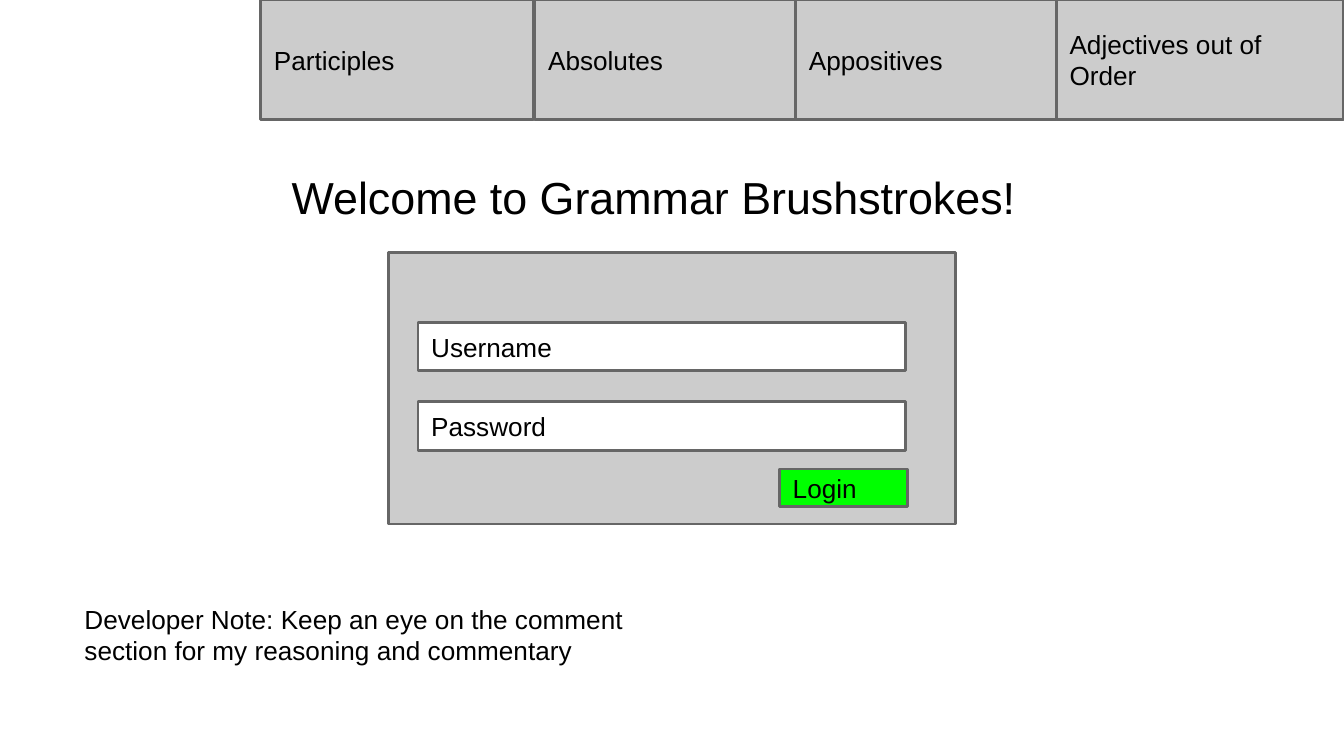
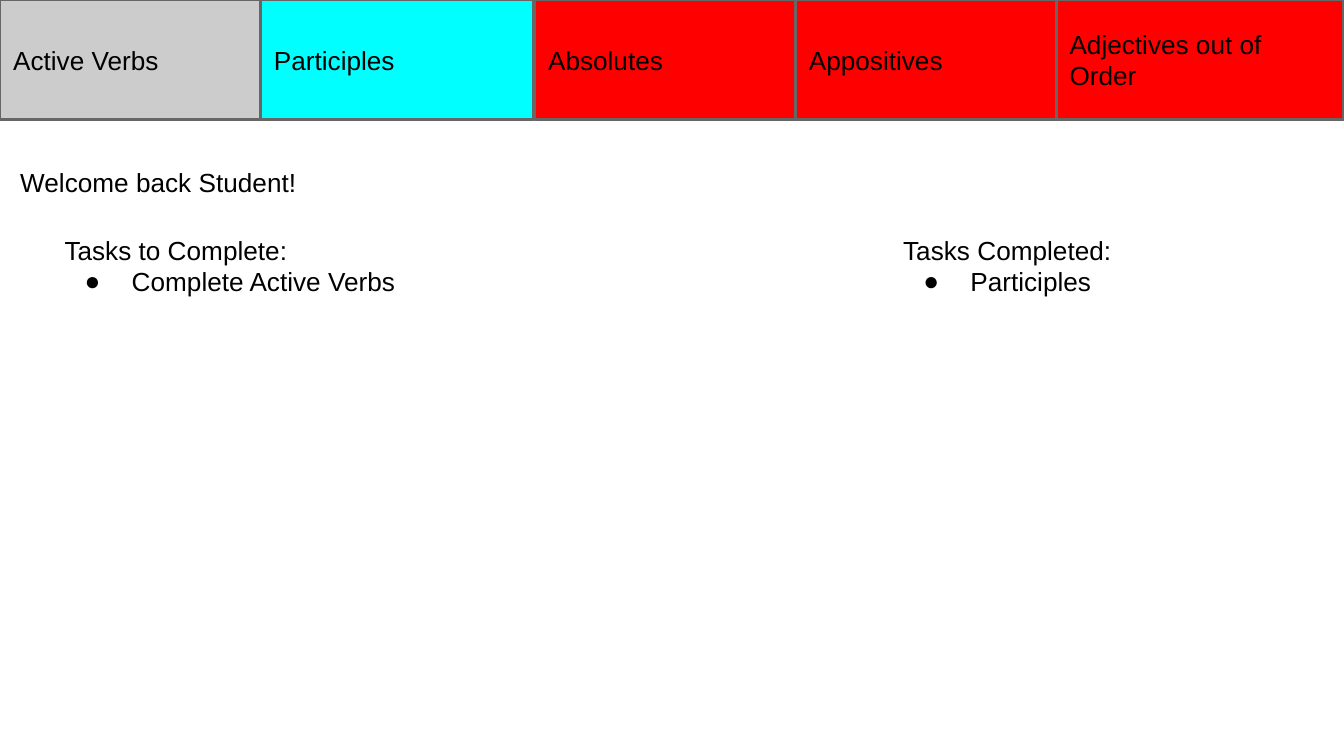
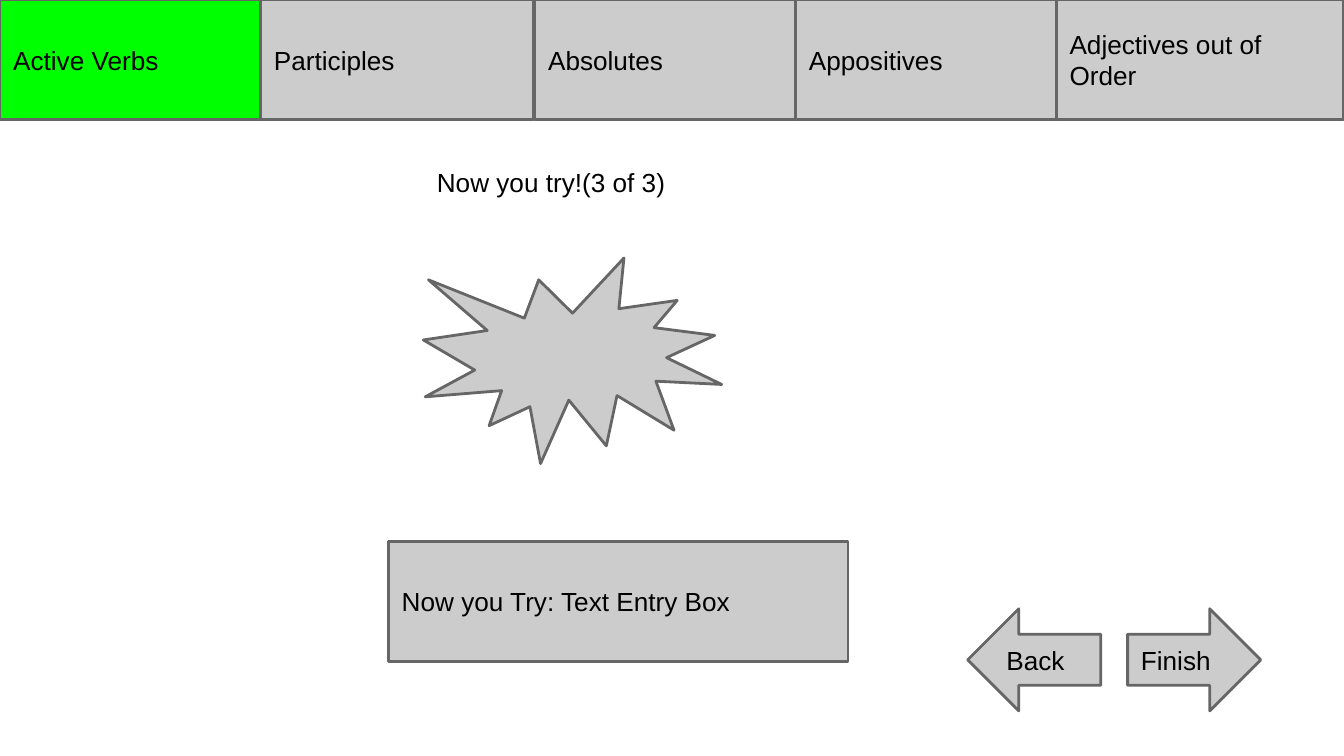
from lxml import etree
from pptx import Presentation
from pptx.dml.color import RGBColor
from pptx.enum import shapes, text
from pptx.oxml import ns
from pptx.util import Inches, Pt

FONT = "Arial"
BLACK, WHITE, GRAY, BORDER = "000000", "FFFFFF", "CCCCCC", "666666"
GREEN, CYAN, RED = "00FF00", "00FFFF", "FF0000"
INSET = 0.1
TAB_HEIGHT = 0.89
TABS = {
    "Active Verbs": (0, 1.94),
    "Participles": (1.94, 2.03),
    "Absolutes": (3.98, 1.94),
    "Appositives": (5.92, 1.94),
    "Adjectives out of Order": (7.86, 2.14),
}
TITLE_ONLY, TWO_CONTENT = 5, 3
SHAPE = shapes.MSO_SHAPE


def color(hex_value):
    return RGBColor.from_string(hex_value)


def write(shape, lines, size=14, anchor=text.MSO_ANCHOR.TOP):
    """Fill a shape with left-aligned black lines."""
    frame = shape.text_frame
    frame.text = "\n".join(lines)
    frame.word_wrap = True
    frame.auto_size = text.MSO_AUTO_SIZE.NONE
    frame.vertical_anchor = anchor
    frame.margin_left = frame.margin_right = Inches(INSET)
    frame.margin_top = frame.margin_bottom = Inches(INSET)
    for paragraph in frame.paragraphs:
        paragraph.alignment = text.PP_ALIGN.LEFT
        paragraph.space_before = Pt(0)
        for run in paragraph.runs:
            run.font.name = FONT
            run.font.size = Pt(size)
            run.font.color.rgb = color(BLACK)


def place(shape, box):
    shape.left, shape.top, shape.width, shape.height = map(Inches, box)


def add_block(slide, box, label="", fill=GRAY, kind=SHAPE.RECTANGLE):
    shape = slide.shapes.add_shape(kind, *map(Inches, box))
    shape.shadow.inherit = False
    shape.fill.solid()
    shape.fill.fore_color.rgb = color(fill)
    shape.line.color.rgb = color(BORDER)
    shape.line.width = Pt(1.5)
    if label:
        write(shape, [label], anchor=text.MSO_ANCHOR.MIDDLE)


def add_slide(presentation, layout, title, title_box, title_size=14):
    """Add a slide with its title placed and written."""
    slide = presentation.slides.add_slide(presentation.slide_layouts[layout])
    place(slide.shapes.title, title_box)
    write(slide.shapes.title, [title], title_size)
    return slide


def add_tabs(slide, fills):
    """Draw the tabs named in fills across the top edge."""
    for name, fill in fills.items():
        left, width = TABS[name]
        add_block(slide, (left, 0, width, TAB_HEIGHT), name, fill)


def set_bullet(paragraph, character):
    """Give a paragraph a hanging bullet, or none when character is empty."""
    properties = paragraph._p.get_or_add_pPr()
    properties.set("marL", str(Inches(0.5) if character else 0))
    properties.set("indent", str(Inches(-0.35) if character else 0))
    if character:
        bullet_color = etree.SubElement(properties, ns.qn("a:buClr"))
        etree.SubElement(bullet_color, ns.qn("a:srgbClr"), val=BLACK)
        etree.SubElement(properties, ns.qn("a:buChar"), char=character)
    else:
        etree.SubElement(properties, ns.qn("a:buNone"))


def fill_task_list(placeholder, box, heading, tasks):
    place(placeholder, box)
    write(placeholder, [heading, *tasks])
    for index, paragraph in enumerate(placeholder.text_frame.paragraphs):
        set_bullet(paragraph, "●" if index else "")


def add_login_panel(slide, box):
    left, top, width, height = box
    add_block(slide, box)
    for row, label in enumerate(("Username", "Password")):
        field_top = top + 0.52 + 0.59 * row
        add_block(slide, (left + 0.22, field_top, 3.63, 0.36), label, WHITE)
    add_block(slide, (left + 2.91, top + 1.61, 0.95, 0.28), "Login", GREEN)


def add_navigation(slide, box):
    """Put the two arrows at the left and right ends of the box."""
    left, top, width, height = box
    arrow_width = 0.99
    add_block(slide, (left, top, arrow_width, height), "Back", kind=SHAPE.LEFT_ARROW)
    add_block(slide, (left + width - arrow_width, top, arrow_width, height),
              "Finish", kind=SHAPE.RIGHT_ARROW)


def build_welcome(presentation):
    slide = add_slide(presentation, TITLE_ONLY, "Welcome to Grammar Brushstrokes!",
                      (2.07, 1.16, 5.71, 0.77), 24)
    add_login_panel(slide, (2.89, 1.88, 4.22, 2.02))
    add_tabs(slide, {name: GRAY for name in list(TABS)[1:]})
    note = slide.shapes.add_textbox(*map(Inches, (0.53, 4.39, 4.69, 1.23)))
    write(note, ["Developer Note: Keep an eye on the comment section "
                 "for my reasoning and commentary"])


def build_dashboard(presentation):
    slide = add_slide(presentation, TWO_CONTENT, "Welcome back Student!",
                      (0.05, 1.14, 4.31, 0.77))
    add_tabs(slide, dict(zip(TABS, (GRAY, CYAN, RED, RED, RED))))
    fill_task_list(slide.placeholders[1], (0.38, 1.64, 3.16, 2.36),
                   "Tasks to Complete:", ["Complete Active Verbs"])
    fill_task_list(slide.placeholders[2], (6.62, 1.64, 2.45, 1.93),
                   "Tasks Completed:", ["Participles"])


def build_exercise(presentation):
    slide = add_slide(presentation, TITLE_ONLY, "Now you try!(3 of 3)",
                      (3.15, 1.14, 2.96, 0.53))
    add_tabs(slide, {**dict.fromkeys(TABS, GRAY), "Active Verbs": GREEN})
    add_navigation(slide, (7.2, 4.53, 2.18, 0.76))
    add_block(slide, (2.89, 4.03, 3.42, 0.89), "Now you Try: Text Entry Box")
    add_block(slide, (3.15, 1.92, 2.22, 1.53), kind=SHAPE.EXPLOSION1)


def main():
    presentation = Presentation()
    presentation.slide_width = Inches(10)
    presentation.slide_height = Inches(10 * 9 / 16)
    build_welcome(presentation)
    build_dashboard(presentation)
    build_exercise(presentation)
    presentation.save("out.pptx")


if __name__ == "__main__":
    main()
